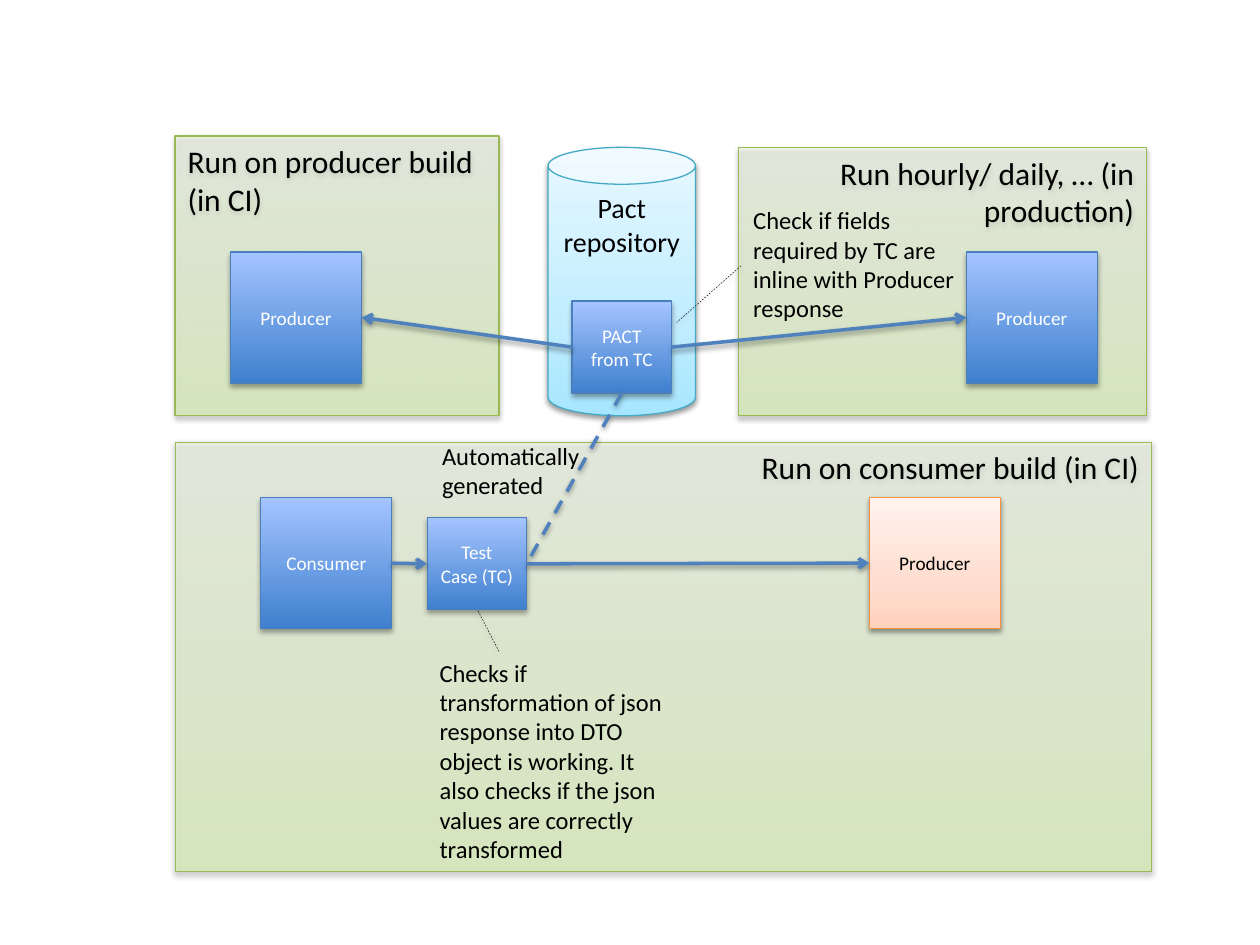
import dataclasses
import typing

import lxml.etree
import pptx
import pptx.dml.color
import pptx.enum.dml
import pptx.enum.shapes
import pptx.enum.text
import pptx.oxml.ns
import pptx.util

COLUMNS, ROWS = 100, 75
SHAPE = pptx.enum.shapes.MSO_SHAPE
ALIGN = pptx.enum.text.PP_ALIGN
ANCHOR = pptx.enum.text.MSO_ANCHOR
DASH = pptx.enum.dml.MSO_LINE.DASH
LEFT, BOTTOM, RIGHT = 1, 2, 3


class Look(typing.NamedTuple):
    stops: dict[int, str]
    outline: str
    ink: str
    size: int
    anchor: ANCHOR = ANCHOR.MIDDLE
    opacity: int = 100
    shadow: tuple[int, float] = (38, 1.6)


@dataclasses.dataclass(frozen=True)
class Theme:
    font: str = "Calibri"
    ink: str = "000000"
    flow: str = "4F81BD"
    note_size: int = 14
    outline_width: float = 0.75
    flow_width: float = 2
    pointer_width: float = 0.25
    shadow_blur: float = 3.1
    line_shadow: tuple[int, float] = (38, 1.6)
    panel: Look = Look({0: "DAFDA7", 35: "E4FCC2", 100: "F5FFE7"}, "98B955",
                       "000000", 18, ANCHOR.TOP, 47)
    store: Look = Look({0: "A7E6FF", 35: "C1EDFF", 100: "E7F8FF"}, "46AAC5",
                       "000000", 16, ANCHOR.TOP)
    service: Look = Look({0: "3F80CE", 100: "A4C4FF"}, "4B7EBC",
                         "FFFFFF", 11, shadow=(35, 1.8))
    mock: Look = Look({0: "FFD2BD", 35: "FFDED0", 100: "FFF2ED"}, "F69240",
                      "000000", 11)


THEME = Theme()


class Cell(typing.NamedTuple):
    column: float
    row: float
    columns: float
    rows: float


class Block(typing.NamedTuple):
    text: str
    cell: Cell
    look: Look
    align: ALIGN = ALIGN.CENTER
    outline: SHAPE = SHAPE.RECTANGLE


class Note(typing.NamedTuple):
    text: str
    cell: Cell


class Flow(typing.NamedTuple):
    source: str
    source_side: int
    target: str
    target_side: int
    generated: bool = False


class Pointer(typing.NamedTuple):
    start: tuple[float, float]
    end: tuple[float, float]


def square(column: float, row: float) -> Cell:
    return Cell(column, row, 10.4, 10.4)


def small(column: float, row: float) -> Cell:
    return Cell(column, row, 7.9, 7.3)


PRODUCER_ROW, CONSUMER_ROW = 20, 39.5
BLOCKS = {
    "repository": Block("Pact repository", Cell(43.5, 11.7, 11.7, 21.3),
                        THEME.store, outline=SHAPE.CAN),
    "producer build": Block("Run on producer build (in CI)", Cell(13.9, 10.8, 25.7, 22.2),
                            THEME.panel, ALIGN.LEFT),
    "consumer build": Block("Run on consumer build (in CI)", Cell(13.9, 35.1, 77.5, 34.1),
                            THEME.panel, ALIGN.RIGHT),
    "production": Block("Run hourly/ daily, … (in production)", Cell(58.6, 11.7, 32.4, 21.3),
                        THEME.panel, ALIGN.RIGHT),
    "consumer": Block("Consumer", square(20.7, CONSUMER_ROW), THEME.service),
    "mock producer": Block("Producer", square(69, CONSUMER_ROW), THEME.mock),
    "live producer": Block("Producer", square(76.7, PRODUCER_ROW), THEME.service),
    "test case": Block("Test\nCase (TC)", small(33.9, 41.1), THEME.service),
    "pact": Block("PACT from TC", small(45.4, 23.9), THEME.service),
    "built producer": Block("Producer", square(18.3, PRODUCER_ROW), THEME.service),
}
NOTES = [
    Note("Checks if transformation of json response into DTO object is working. "
         "It also checks if the json values are correctly transformed",
         Cell(33.9, 51.7, 19.7, 17.5)),
    Note("Check if fields required by TC are inline with Producer response",
         Cell(58.8, 15.8, 19.7, 10.4)),
    Note("Automatically generated", Cell(34.1, 34.5, 14.9, 5.7)),
]
FLOWS = [
    Flow("consumer", RIGHT, "test case", LEFT),
    Flow("test case", RIGHT, "mock producer", LEFT),
    Flow("pact", BOTTOM, "test case", RIGHT, generated=True),
    Flow("pact", RIGHT, "live producer", LEFT),
    Flow("pact", LEFT, "built producer", RIGHT),
]
POINTERS = [Pointer((58.8, 21.1), (53.7, 25.6)), Pointer((39.6, 51.7), (37.9, 48.4))]


def apply(target: typing.Any, values: dict[str, typing.Any]) -> None:
    for name, value in values.items():
        setattr(target, name, value)


def rgb(code: str) -> pptx.dml.color.RGBColor:
    return pptx.dml.color.RGBColor.from_string(code)


def across(columns: float) -> int:
    return pptx.util.Inches(10 * columns / COLUMNS)


def down(rows: float) -> int:
    return pptx.util.Inches(7.5 * rows / ROWS)


def place(cell: Cell) -> tuple[int, int, int, int]:
    return across(cell.column), down(cell.row), across(cell.columns), down(cell.rows)


def add_node(parent: typing.Any, tag: str, **attributes: typing.Any) -> typing.Any:
    return lxml.etree.SubElement(parent, pptx.oxml.ns.qn(tag),
                                 {key: str(value) for key, value in attributes.items()})


def add_color(parent: typing.Any, code: str, opacity: int) -> None:
    color = add_node(parent, "a:srgbClr", val=code)
    if opacity < 100:
        add_node(color, "a:alpha", val=opacity * 1000)


def add_shadow(effects: typing.Any, opacity: int, distance: float) -> None:
    shadow = add_node(effects, "a:outerShdw", blurRad=pptx.util.Pt(THEME.shadow_blur),
                      dist=pptx.util.Pt(distance), dir=90 * 60000, rotWithShape=0)
    add_color(shadow, THEME.ink, opacity)


def fill_gradient(properties: typing.Any, look: Look) -> None:
    gradient = add_node(properties, "a:gradFill", rotWithShape=1)
    stops = add_node(gradient, "a:gsLst")
    for position, code in look.stops.items():
        add_color(add_node(stops, "a:gs", pos=position * 1000), code, look.opacity)
    add_node(gradient, "a:lin", ang=270 * 60000, scaled=0)


def write(frame: typing.Any, text: str, size: int, ink: str, align: ALIGN,
          layout: dict[str, typing.Any]) -> None:
    apply(frame, {"text": text, "word_wrap": True, **layout})
    for paragraph in frame.paragraphs:
        paragraph.alignment = align
        for run in paragraph.runs:
            apply(run.font, {"name": THEME.font, "size": pptx.util.Pt(size)})
            run.font.color.rgb = rgb(ink)


def draw_block(slide: typing.Any, block: Block) -> typing.Any:
    look = block.look
    shape = slide.shapes.add_shape(block.outline, *place(block.cell))
    fill_gradient(shape._element.spPr, look)
    shape.line.color.rgb = rgb(look.outline)
    shape.line.width = pptx.util.Pt(THEME.outline_width)
    shape.shadow.inherit = False
    add_shadow(shape._element.spPr.find(pptx.oxml.ns.qn("a:effectLst")), *look.shadow)
    write(shape.text_frame, block.text, look.size, look.ink, block.align,
          {"vertical_anchor": look.anchor})
    return shape


def draw_note(slide: typing.Any, note: Note) -> None:
    box = slide.shapes.add_textbox(*place(note.cell))
    write(box.text_frame, note.text, THEME.note_size, THEME.ink, ALIGN.LEFT,
          {"auto_size": pptx.enum.text.MSO_AUTO_SIZE.SHAPE_TO_FIT_TEXT})


def draw_line(slide: typing.Any, pointer: Pointer, ink: str, width: float,
              dashed: bool, arrow: bool = False) -> typing.Any:
    ends = [length for column, row in pointer for length in (across(column), down(row))]
    line = slide.shapes.add_connector(pptx.enum.shapes.MSO_CONNECTOR.STRAIGHT, *ends)
    line.line.color.rgb = rgb(ink)
    apply(line.line, {"width": pptx.util.Pt(width), "dash_style": DASH if dashed else None})
    if arrow:
        add_node(line.line._get_or_add_ln(), "a:tailEnd", type="arrow")
    add_shadow(add_node(line._element.spPr, "a:effectLst"), *THEME.line_shadow)
    return line


def draw_flow(slide: typing.Any, flow: Flow, shapes: dict[str, typing.Any]) -> None:
    line = draw_line(slide, Pointer((0, 0), (0, 0)), THEME.flow, THEME.flow_width,
                     flow.generated, not flow.generated)
    line.begin_connect(shapes[flow.source], flow.source_side)
    line.end_connect(shapes[flow.target], flow.target_side)


def main() -> None:
    deck = pptx.Presentation()
    apply(deck, {"slide_width": across(COLUMNS), "slide_height": down(ROWS)})
    slide = deck.slides.add_slide(deck.slide_layouts.get_by_name("Blank"))
    shapes = {name: draw_block(slide, block) for name, block in BLOCKS.items()}
    for note in NOTES:
        draw_note(slide, note)
    for flow in FLOWS:
        draw_flow(slide, flow, shapes)
    for pointer in POINTERS:
        draw_line(slide, pointer, THEME.ink, THEME.pointer_width, dashed=True)
    deck.save("out.pptx")


if __name__ == "__main__":
    main()
